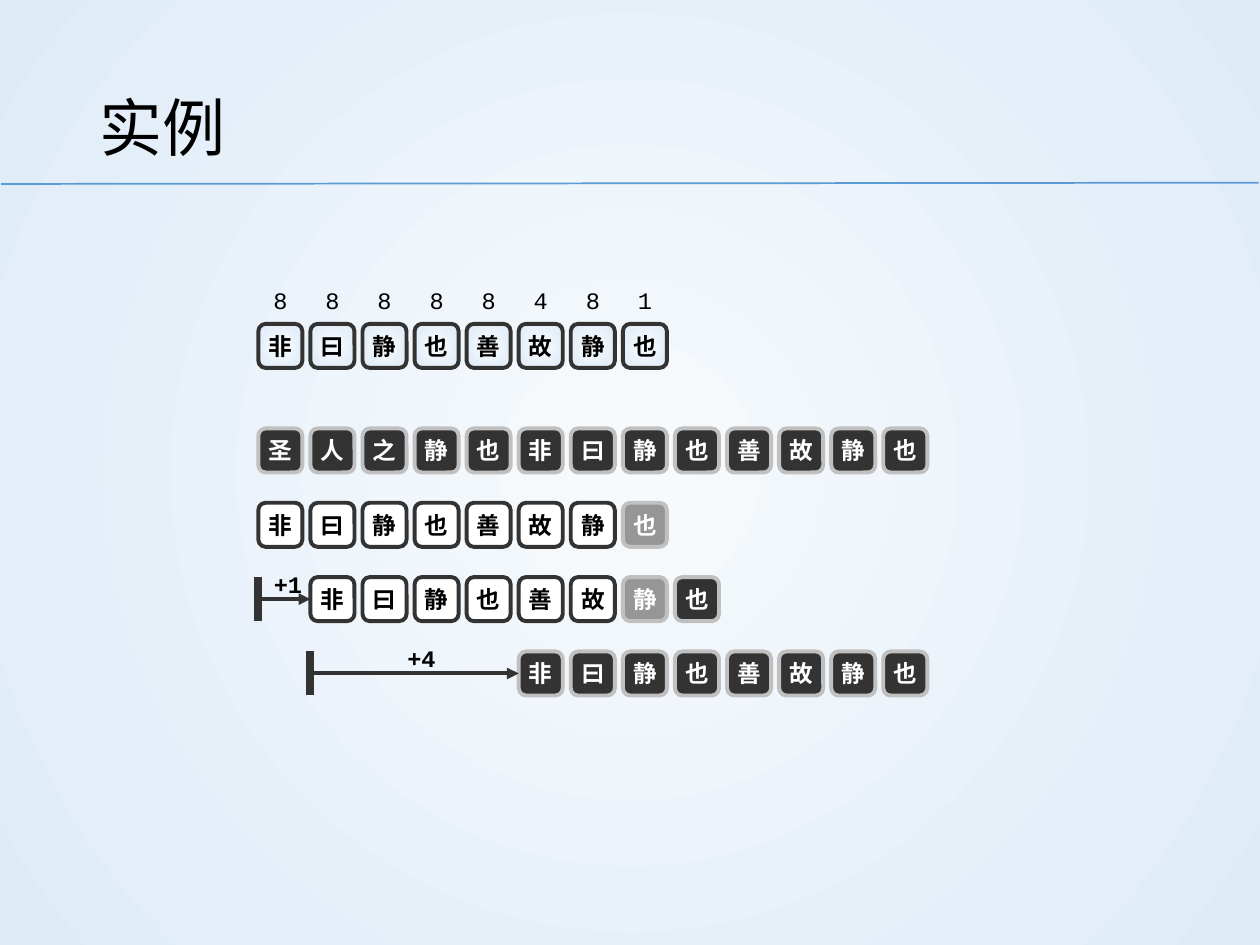
from dataclasses import dataclass
from typing import NamedTuple

from lxml.etree import SubElement
from pptx import Presentation
from pptx.dml.color import RGBColor
from pptx.enum.shapes import MSO_CONNECTOR, MSO_SHAPE
from pptx.enum.text import MSO_ANCHOR, PP_ALIGN
from pptx.oxml.ns import qn
from pptx.util import Inches, Pt


@dataclass(frozen=True)
class Theme:
    ink: str = "000000"
    white: str = "FFFFFF"
    dark: str = "333333"
    grey: str = "969696"
    silver: str = "C0C0C0"
    accent: str = "5B9BD5"
    glow: tuple[str, str] = ("F7FAFD", "DEEBF7")
    heading: str = "Arial"
    mono: str = "Courier New"
    cjk: str = "Noto Sans CJK SC"
    title_size: float = 36
    cell_size: float = 13.5
    outline: float = 2.25
    bar: float = 4.5


THEME = Theme()


class CellStyle(NamedTuple):
    fill: str | None  # None means the radial background gradient
    line: str
    text: str
    font: str


STYLES = {
    "P": CellStyle(None, THEME.dark, THEME.ink, THEME.mono),          # pattern
    "O": CellStyle(THEME.white, THEME.dark, THEME.ink, THEME.cjk),    # open
    "X": CellStyle(THEME.grey, THEME.silver, THEME.white, THEME.cjk),  # compared
    "D": CellStyle(THEME.dark, THEME.silver, THEME.white, THEME.cjk),  # solid
}


class Row(NamedTuple):
    text: str
    styles: str
    top: float
    column: int = 0


class Shift(NamedTuple):
    label: str
    row: Row
    from_column: int
    label_left: float


# Grid: 13 columns between the first and the last cell
LEFT, LAST_LEFT, COLUMNS, SIZE = 2.05, 7.01, 13, 0.35
SEARCH_TOP, ROW_STEP = 3.4, 0.59
DIGITS_TOP, PATTERN_TOP, LABEL_RISE = 2.21, 2.57, 0.12

PATTERN = "非曰静也善故静也"
SKIPS = "88888481"
ROWS = [
    Row(PATTERN, "P" * 8, PATTERN_TOP),
    Row("圣人之静也" + PATTERN, "D" * 13, SEARCH_TOP),
    Row(PATTERN, "OOOOOOOX", SEARCH_TOP + ROW_STEP),
    Row(PATTERN, "OOOOOOXD", SEARCH_TOP + 2 * ROW_STEP, 1),
    Row(PATTERN, "D" * 8, SEARCH_TOP + 3 * ROW_STEP, 5),
]
SHIFTS = [Shift("+1", ROWS[3], 0, 2.11), Shift("+4", ROWS[4], 1, 3.17)]


def column_left(column: int) -> float:
    return LEFT + column * (LAST_LEFT - LEFT) / (COLUMNS - 1)


def set_radial(fill, holder) -> None:
    """Give a fill the theme's gradient, running from centre to edge."""
    fill.gradient()
    for stop, color in zip(fill.gradient_stops, THEME.glow):
        stop.color.rgb = RGBColor.from_string(color)
    gradient = holder.find(".//" + qn("a:gradFill"))
    gradient.remove(gradient.find(qn("a:lin")))
    circle = SubElement(gradient, qn("a:path"), path="circle")
    SubElement(circle, qn("a:fillToRect"), l="50000", t="50000", r="50000", b="50000")


def write(box, text: str, *, font: str, size: float, color: str = THEME.ink,
          bold: bool = False, align=PP_ALIGN.CENTER, spacing: float | None = None):
    frame = box.text_frame
    frame.vertical_anchor = MSO_ANCHOR.MIDDLE
    para = frame.paragraphs[0]
    para.alignment = align
    if spacing:
        para.line_spacing = spacing
    span = para.add_run()
    span.text = text
    span.font.name = font
    span.font.size = Pt(size)
    span.font.bold = bold
    span.font.color.rgb = RGBColor.from_string(color)
    SubElement(span.font._element, qn("a:ea"), typeface=THEME.cjk)


def write_tight(box, text: str, **style) -> None:
    """Write one unwrapped line without insets."""
    frame = box.text_frame
    frame.word_wrap = False
    frame.margin_left = frame.margin_right = frame.margin_top = frame.margin_bottom = 0
    write(box, text, size=THEME.cell_size, **style)


def add_label(page, text: str, left: float, top: float, bold: bool = False) -> None:
    box = page.shapes.add_textbox(Inches(left), Inches(top), Inches(SIZE), Inches(SIZE))
    write_tight(box, text, font=THEME.mono, bold=bold)


def add_cell(page, text: str, left: float, top: float, style: CellStyle):
    cell = page.shapes.add_shape(MSO_SHAPE.ROUNDED_RECTANGLE, Inches(left), Inches(top),
                                 Inches(SIZE), Inches(SIZE))
    cell.shadow.inherit = False
    if style.fill is None:
        set_radial(cell.fill, cell.element)
    else:
        cell.fill.solid()
        cell.fill.fore_color.rgb = RGBColor.from_string(style.fill)
    cell.line.color.rgb = RGBColor.from_string(style.line)
    cell.line.width = Pt(THEME.outline)
    write_tight(cell, text, font=style.font, color=style.text, bold=True)
    return cell


def add_row(page, row: Row) -> list:
    return [add_cell(page, letter, column_left(row.column + index), row.top, STYLES[key])
            for index, (letter, key) in enumerate(zip(row.text, row.styles))]


def add_line(page, start: tuple[float, float], end: tuple[float, float], *,
             color: str, width: float, arrow: bool = False):
    line = page.shapes.add_connector(MSO_CONNECTOR.STRAIGHT,
                                     *(Inches(value) for value in (*start, *end)))
    line.line.color.rgb = RGBColor.from_string(color)
    line.line.width = Pt(width)
    if arrow:
        SubElement(line.line._get_or_add_ln(), qn("a:tailEnd"), type="triangle")
    SubElement(line.element.spPr, qn("a:effectLst"))
    return line


def add_shift(page, shift: Shift, target) -> None:
    """Draw the start bar, the arrow to the moved pattern, and its distance."""
    left, top = column_left(shift.from_column), shift.row.top
    middle = top + SIZE / 2
    arrow = add_line(page, (left, middle), (column_left(shift.row.column), middle),
                     color=THEME.dark, width=THEME.outline, arrow=True)
    arrow.end_connect(target, 1)
    add_label(page, shift.label, shift.label_left, top - LABEL_RISE, bold=True)
    add_line(page, (left, top), (left, top + SIZE), color=THEME.dark, width=THEME.bar)


def main() -> None:
    deck = Presentation()
    deck.slide_width, deck.slide_height = Inches(10), Inches(7.5)
    page = deck.slides.add_slide(deck.slide_layouts[5])
    set_radial(page.background.fill, page.element)

    # Title and rule
    title = page.shapes.title
    title.left, title.top = Inches(0.69), Inches(0.4)
    title.width, title.height = Inches(8.62), Inches(1.08)
    write(title, "实例", font=THEME.heading, size=THEME.title_size,
          align=PP_ALIGN.LEFT, spacing=1.2)
    add_line(page, (0.01, 1.46), (9.99, 1.45), color=THEME.accent, width=1)

    # Skip table above the pattern
    for column, digit in enumerate(SKIPS):
        add_label(page, digit, column_left(column), DIGITS_TOP)

    # Pattern, searched text and the three alignments
    cells = {row: add_row(page, row) for row in ROWS}

    # Shifts between alignments
    for shift in SHIFTS:
        add_shift(page, shift, cells[shift.row][0])

    deck.save("out.pptx")


if __name__ == "__main__":
    main()
